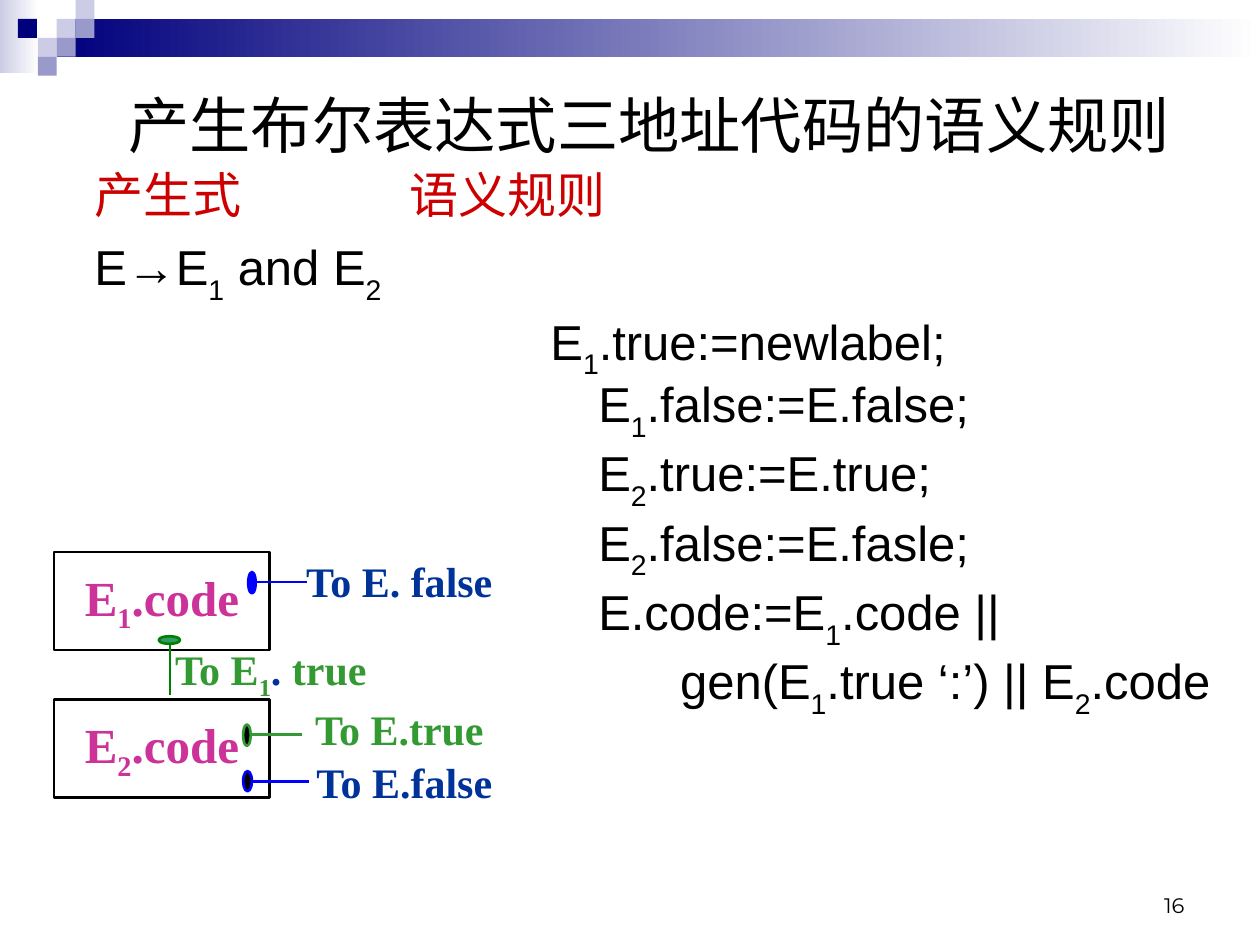
from typing import NamedTuple

from lxml.etree import SubElement as Sub
from pptx import Presentation
from pptx.dml.color import RGBColor as RGB
from pptx.enum.shapes import MSO_CONNECTOR as Link, MSO_SHAPE as Kind
from pptx.enum.text import MSO_ANCHOR as Anchor, PP_ALIGN as Align
from pptx.oxml.ns import qn
from pptx.util import Inches, Pt

BLACK = RGB(0x00, 0x00, 0x00)
WHITE = RGB(0xFF, 0xFF, 0xFF)
NAVY = RGB(0x00, 0x00, 0x7D)
LILAC = RGB(0xCC, 0xCC, 0xE6)
MAUVE = RGB(0x99, 0x99, 0xCC)
RED = RGB(0xCC, 0x00, 0x00)
PINK = RGB(0xCC, 0x33, 0x99)
BLUE = RGB(0x00, 0x00, 0xFF)
INK = RGB(0x00, 0x33, 0x99)
LEAF = RGB(0x33, 0x99, 0x33)
GREEN = RGB(0x00, 0x80, 0x00)
SEA = RGB(0x33, 0x99, 0x66)

STEP = 0.1
TILE = 1.5
SERIF = "Times New Roman"


class Area(NamedTuple):
    col: float
    row: float
    wide: float
    high: float


class Style(NamedTuple):
    size: float
    color: RGB
    face: str = SERIF
    bold: bool = True


class Tile(NamedTuple):
    col: float
    row: float
    color: RGB


class Rule(NamedTuple):
    text: str
    dent: float
    color: RGB = BLACK
    tight: bool = False


class Label(NamedTuple):
    text: str
    area: Area
    color: RGB


class Exit(NamedTuple):
    dot: Area
    fill: RGB
    line: RGB
    start: tuple[float, float]
    end: tuple[float, float]


TILES = [
    Tile(3, 1, LILAC), Tile(4, 0, LILAC), Tile(4, 1, MAUVE),
    Tile(2, 2, LILAC), Tile(0.95, 1, NAVY), Tile(3, 2, MAUVE),
    Tile(2, 3, MAUVE),
]
RULES = [
    Rule("产生式\t\t\t语义规则", 3.8, RED, True),
    Rule("E→E_1 and E_2", 3.8, tight=True),
    Rule("E_1.true:=newlabel;", 40, tight=True),
    Rule("E_1.false:=E.false;", 43.8),
    Rule("E_2.true:=E.true;", 43.8),
    Rule("E_2.false:=E.fasle;", 43.8),
    Rule("E.code:=E_1.code ||", 43.8),
    Rule("gen(E_1.true ‘:’) || E_2.code", 50.3),
]
BLOCKS = [
    Label("E_1.code", Area(4.3, 43.8, 17.1, 7.8), PINK),
    Label("E_2.code", Area(4.3, 55.5, 17.1, 7.8), PINK),
]
EXITS = [
    Exit(Area(19.7, 45.4, 0.6, 1.7), BLUE, BLUE, (20.3, 46.2), (24.4, 46.2)),
    Exit(Area(12.6, 50.5, 1.7, 0.6), SEA, GREEN, (13.5, 51.1), (13.5, 55.2)),
    Exit(Area(19.3, 57.5, 0.6, 1.7), BLACK, LEAF, (19.9, 58.3), (24, 58.3)),
    Exit(Area(19.3, 61.2, 0.7, 1.6), BLACK, BLUE, (19.9, 62), (24.5, 62)),
]
LABELS = [
    Label("To E. false", Area(21.7, 43, 20, 6.1), INK),
    Label("To E.true", Area(21.7, 54.8, 20, 6.1), LEAF),
    Label("To E.false", Area(22.1, 59.3, 20, 5.5), INK),
]
JUMP = Label("To E_1", Area(11.5, 50.3, 20, 6.1), LEAF)


def unit(count: float) -> int:
    return Inches(count * STEP)


def span(area: Area) -> list[int]:
    return [unit(part) for part in area]


def write(para, text: str, style: Style, drop: int = -25) -> None:
    font = para.font
    font.name, font.size, font.bold = style.face, Pt(style.size), style.bold
    font.color.rgb = style.color
    head, *rest = text.split("_")
    para.add_run().text = head
    for part in rest:
        low = para.add_run()
        low.text = part[0]
        low._r.get_or_add_rPr().set("baseline", str(drop * 1000))
        if part[1:]:
            para.add_run().text = part[1:]


def shape(slide, kind: Kind, area: Area, line: RGB | None = None):
    form = slide.shapes.add_shape(kind, *span(area))
    form.shadow.inherit = False
    if line is None:
        form.line.fill.background()
    else:
        form.line.color.rgb = line
        form.line.width = Pt(1.5)
    return form


def fade(slide, area: Area, color: RGB) -> None:
    fill = shape(slide, Kind.RECTANGLE, area).fill
    fill.gradient()
    fill.gradient_angle = 0
    for stop, tint in zip(fill.gradient_stops, (color, WHITE)):
        stop.color.rgb = tint


def frame(form, anchor: Anchor, wrap: bool = True):
    body = form.text_frame
    body.word_wrap = wrap
    body.vertical_anchor = anchor
    return body


def note(slide, item: Label, style: Style, align: Align = Align.CENTER,
         anchor: Anchor = Anchor.MIDDLE):
    box = slide.shapes.add_textbox(*span(item.area))
    para = frame(box, anchor).paragraphs[0]
    para.alignment = align
    write(para, item.text, style)
    return para


def block(slide, item: Label) -> None:
    form = shape(slide, Kind.RECTANGLE, item.area, BLACK)
    form.fill.background()
    para = frame(form, Anchor.MIDDLE, False).paragraphs[0]
    para.alignment = Align.CENTER
    write(para, item.text, Style(28, item.color))


def leave(slide, item: Exit) -> None:
    ends = [unit(part) for part in item.start + item.end]
    wire = slide.shapes.add_connector(Link.STRAIGHT, *ends)
    wire.line.color.rgb = item.line
    wire.line.width = Pt(1.5)
    Sub(wire._element.spPr, qn("a:effectLst"))
    dot = shape(slide, Kind.OVAL, item.dot, item.line)
    dot.fill.solid()
    dot.fill.fore_color.rgb = item.fill


def rules(slide, area: Area) -> None:
    body = frame(slide.shapes.add_textbox(*span(area)), Anchor.TOP)
    for spot, rule in enumerate(RULES):
        para = body.add_paragraph() if spot else body.paragraphs[0]
        para.line_spacing = 0.9 if rule.tight else 1.0
        para.space_before = Pt(7 if rule.tight and spot else 0)
        props = para._p.get_or_add_pPr()
        props.set("marL", str(unit(rule.dent)))
        props.set("indent", "0")
        write(para, rule.text, Style(28, rule.color, "Arial", False), -30)


def main() -> None:
    deck = Presentation()
    deck.slide_width, deck.slide_height = unit(100), unit(75)
    slide = deck.slides.add_slide(deck.slide_layouts[6])
    fade(slide, Area(0, 0, 3.1, 5.8), LILAC)
    fade(slide, Area(4.5, 1.5, 95.5, 3), NAVY)
    for tile in TILES:
        area = Area(tile.col * TILE, tile.row * TILE, TILE, TILE)
        fill = shape(slide, Kind.RECTANGLE, area).fill
        fill.solid()
        fill.fore_color.rgb = tile.color
    note(slide, Label("16", Area(71.7, 68.3, 23.3, 5), BLACK),
         Style(12, BLACK, "Montserrat", False), Align.RIGHT, Anchor.BOTTOM)
    note(slide, Label("产生布尔表达式三地址代码的语义规则",
                      Area(9.2, 3.8, 86.7, 12.1), BLACK),
         Style(35, BLACK, "Arial", False), Align.LEFT)
    rules(slide, Area(2.7, 13.1, 97.3, 50))
    for item in BLOCKS:
        block(slide, item)
    for item in EXITS:
        leave(slide, item)
    for item in LABELS:
        note(slide, item, Style(24, item.color))
    para = note(slide, JUMP, Style(24, JUMP.color))
    stop = para.add_run()
    stop.text = ". "
    stop.font.color.rgb = INK
    para.add_run().text = "true"
    deck.save("out.pptx")


if __name__ == "__main__":
    main()
